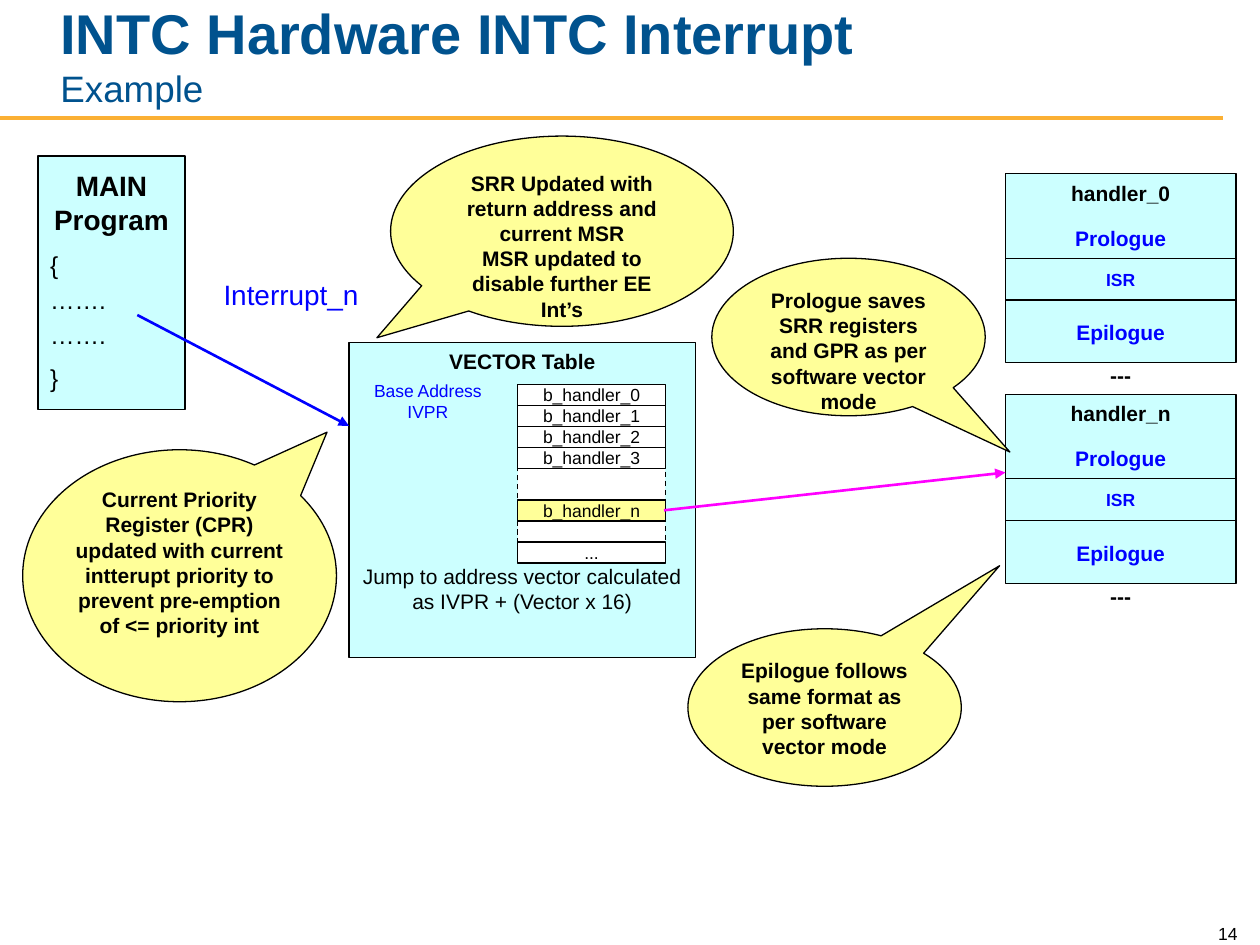
from lxml.etree import SubElement
from pptx import Presentation
from pptx.dml.color import RGBColor
from pptx.enum.dml import MSO_LINE
from pptx.enum.shapes import MSO_CONNECTOR, MSO_SHAPE
from pptx.enum.text import MSO_ANCHOR, MSO_AUTO_SIZE, PP_ALIGN
from pptx.oxml.ns import qn
from pptx.util import Inches, Pt

COLUMNS, ROWS = 100, 75
BLACK, BLUE, NAVY, MAGENTA = "000000", "0000FF", "00528E", "FF00FF"
WHITE, CYAN, YELLOW, GOLD = "FFFFFF", "CCFFFF", "FFFF99", "FBB034"


def color(hex_text):
    return RGBColor.from_string(hex_text)


class SlideBuilder:
    """Holds the text style and the current slide; places elements on a grid."""

    text_style = {"name": "Arial", "size": 12, "bold": False, "color": BLACK}

    def __init__(self, deck):
        self.page = deck.slides.add_slide(deck.slide_layouts[5])
        self.column = deck.slide_width / COLUMNS
        self.row = deck.slide_height / ROWS

    def place(self, columns, rows):
        return round(columns * self.column), round(rows * self.row)

    def area(self, left, top, width, height):
        return self.place(left, top) + self.place(width, height)

    def style(self, span, **changes):
        values = {**self.text_style, **changes}
        span.font.color.rgb = color(values.pop("color"))
        values["size"] = Pt(values["size"])
        for name, value in values.items():
            setattr(span.font, name, value)

    def fill_text(self, box, paragraphs, anchor=MSO_ANCHOR.TOP, inset=(0.1, 0.05)):
        """Put (text, font values, paragraph values) entries into a box."""
        frame = box.text_frame
        across, down = map(Inches, inset)
        layout = {"word_wrap": True, "vertical_anchor": anchor,
                  "margin_left": across, "margin_right": across,
                  "margin_top": down, "margin_bottom": down}
        for name, value in layout.items():
            setattr(frame, name, value)
        for number, (text, font, spacing) in enumerate(paragraphs):
            para = frame.add_paragraph() if number else frame.paragraphs[0]
            for name, value in {"alignment": PP_ALIGN.CENTER, **spacing}.items():
                setattr(para, name, value)
            span = para.add_run()
            span.text = text
            self.style(span, **font)

    def title(self, heading, subheading, area):
        box = self.page.shapes.title
        box.left, box.top, box.width, box.height = self.area(*area)
        layout = {"auto_size": MSO_AUTO_SIZE.NONE, "word_wrap": True,
                  "vertical_anchor": MSO_ANCHOR.BOTTOM}
        for name, value in layout.items():
            setattr(box.text_frame, name, value)
        para = box.text_frame.paragraphs[0]
        para.alignment = PP_ALIGN.LEFT
        span = para.add_run()
        span.text = heading
        self.style(span, size=32, bold=True, color=NAVY)
        para.add_line_break()
        span = para.add_run()
        span.text = subheading
        self.style(span, size=21, color=NAVY)

    def text(self, area, paragraphs, **layout):
        box = self.page.shapes.add_textbox(*self.area(*area))
        self.fill_text(box, paragraphs, **layout)

    def shape(self, area, fill, paragraphs=(), kind=MSO_SHAPE.RECTANGLE,
              weight=0.75, dash=None, **layout):
        box = self.page.shapes.add_shape(kind, *self.area(*area))
        box.shadow.inherit = False
        box.fill.solid()
        box.fill.fore_color.rgb = color(fill)
        box.line.color.rgb = color(BLACK)
        box.line.width = Pt(weight)
        if dash:
            box.line.dash_style = dash
        self.fill_text(box, paragraphs, **layout)
        return box

    def callout(self, area, pointer, texts, **layout):
        paragraphs = [(text, {"bold": True}, {}) for text in texts]
        box = self.shape(area, YELLOW, paragraphs, MSO_SHAPE.OVAL_CALLOUT, **layout)
        for index, value in enumerate(pointer):
            box.adjustments[index] = value

    def line(self, start, end, stroke=BLACK, weight=0.75, arrow=False):
        connector = self.page.shapes.add_connector(
            MSO_CONNECTOR.STRAIGHT, *self.place(*start), *self.place(*end))
        connector.line.color.rgb = color(stroke)
        connector.line.width = Pt(weight)
        properties = connector._element.spPr
        if arrow:
            SubElement(properties.find(qn("a:ln")), qn("a:tailEnd"), type="triangle")
        SubElement(properties, qn("a:effectLst"))

    def handler(self, name, top):
        """Draw one handler with its three sections and the dashes below."""
        left, width, height = 79.8, 18.3, 15
        bold, blue = {"bold": True}, {"bold": True, "color": BLUE}
        self.shape((left, top, width, height), CYAN, [
            (name, bold, {}),
            ("Prologue", blue, {"space_before": Pt(11.5)}),
            ("ISR", {**blue, "size": 10}, {"space_before": Pt(10.5)}),
            ("Epilogue", blue, {"space_before": Pt(17)})])
        for offset in (6.7, 10):
            self.line((left, top + offset), (left + width, top + offset))
        self.text((left, top + height, width, 3), [("---", bold, {})], inset=(0, 0))


def vector_table(slide):
    left, top, width, step = 41.1, 30.5, 11.7, 1.67
    slide.shape((27.7, 27.2, 27.5, 25), CYAN, [
        ("VECTOR Table", {"bold": True}, {}),
        ("Jump to address vector calculated as IVPR + (Vector x 16)", {},
         {"space_before": Pt(108)})])
    slide.text((27.7, 29.7, 12.5, 4.3),
               [("Base Address IVPR", {"size": 10, "color": BLUE}, {})])
    # Skipped entries, then the entries shown, by their row in the table
    slide.shape((left, top + 4 * step, width, 3.5 * step), WHITE, dash=MSO_LINE.DASH)
    entries = {0: "b_handler_0", 1: "b_handler_1", 2: "b_handler_2",
               3: "b_handler_3", 5.5: "b_handler_n", 7.5: "..."}
    for position, label in entries.items():
        fill = YELLOW if label == "b_handler_n" else WHITE
        slide.shape((left, top + position * step, width, step), fill,
                    [(label, {"size": 10}, {})], anchor=MSO_ANCHOR.MIDDLE, inset=(0, 0))


def main():
    deck = Presentation()
    deck.slide_width, deck.slide_height = Inches(10), Inches(7.5)
    slide = SlideBuilder(deck)

    # Heading, rule and page number
    slide.title("INTC Hardware INTC Interrupt", "Example", (3.8, 1.7, 81.7, 7.5))
    slide.line((0, 9.4), (97.1, 9.4), GOLD, 2.25)
    slide.text((94.2, 72.4, 5, 3), [("14", {"size": 10}, {"alignment": PP_ALIGN.RIGHT})],
               anchor=MSO_ANCHOR.BOTTOM)

    vector_table(slide)

    # Main program and the interrupt
    code = {"alignment": PP_ALIGN.LEFT, "space_before": Pt(8)}
    dots = ("…….", {"size": 14}, {**code, "line_spacing": 0.7})
    slide.shape((3, 12.4, 11.7, 20.1), CYAN, [
        ("MAIN Program", {"size": 16, "bold": True}, {}),
        ("{", {"size": 14}, code), dots, dots, ("}", {"size": 14}, code)],
        weight=1, inset=(0.1, 0.1))
    slide.line((10.9, 25), (27.7, 33.8), BLUE, 1.5, arrow=True)
    slide.text((15.2, 21, 15.8, 4.7), [("Interrupt_n", {"size": 16, "color": BLUE}, {})],
               inset=(0.1, 0.1))

    # Handlers and the jump to handler_n
    slide.handler("handler_n", 31.3)
    slide.handler("handler_0", 13.8)
    slide.line((52.7, 40.5), (79.8, 37.5), MAGENTA, 1.5, arrow=True)

    # Explanations
    slide.callout((31, 10.8, 27.2, 15.1), (-0.54, 0.56),
                  ["SRR Updated with return address and current MSR",
                   "MSR updated to disable further EE Int’s"])
    slide.callout((1.8, 35.7, 24.9, 20), (0.47, -0.57),
                  ["Current Priority Register (CPR) updated with current intterupt "
                   "priority to prevent pre-emption of <= priority int"], inset=(0, 0))
    slide.callout((56.5, 20.5, 21.7, 12.5), (0.59, 0.73),
                  ["Prologue saves SRR registers and GPR as per software vector mode"])
    slide.callout((54.6, 49.9, 21.7, 12.5), (0.64, -0.9),
                  ["Epilogue follows same format as per software vector mode"])

    deck.save("out.pptx")


if __name__ == "__main__":
    main()
